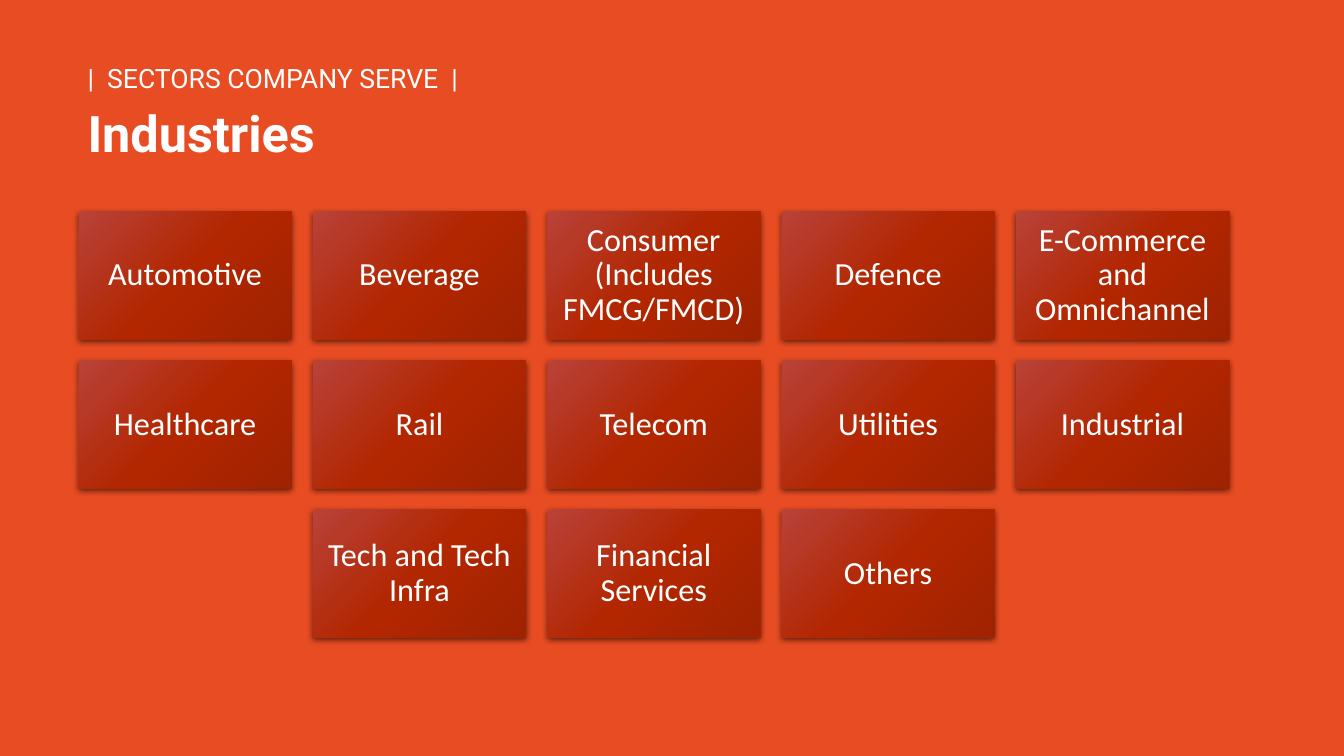
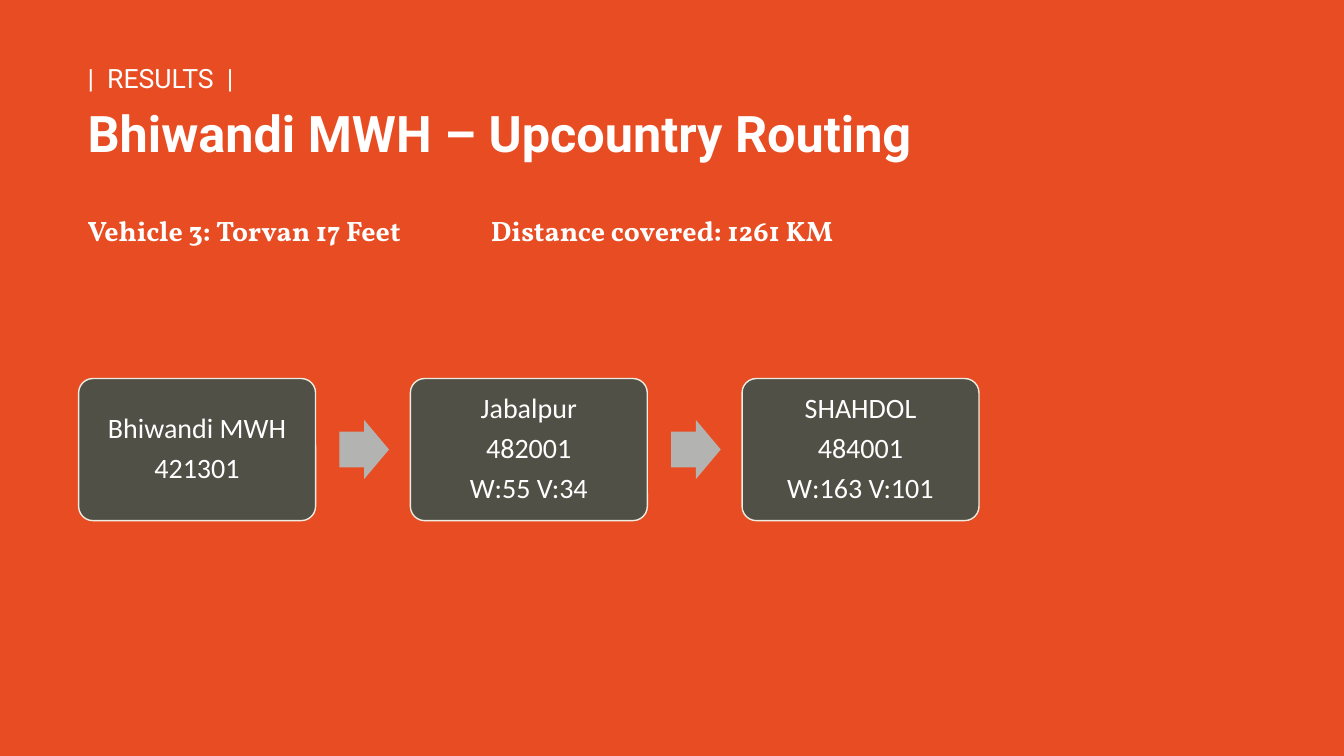
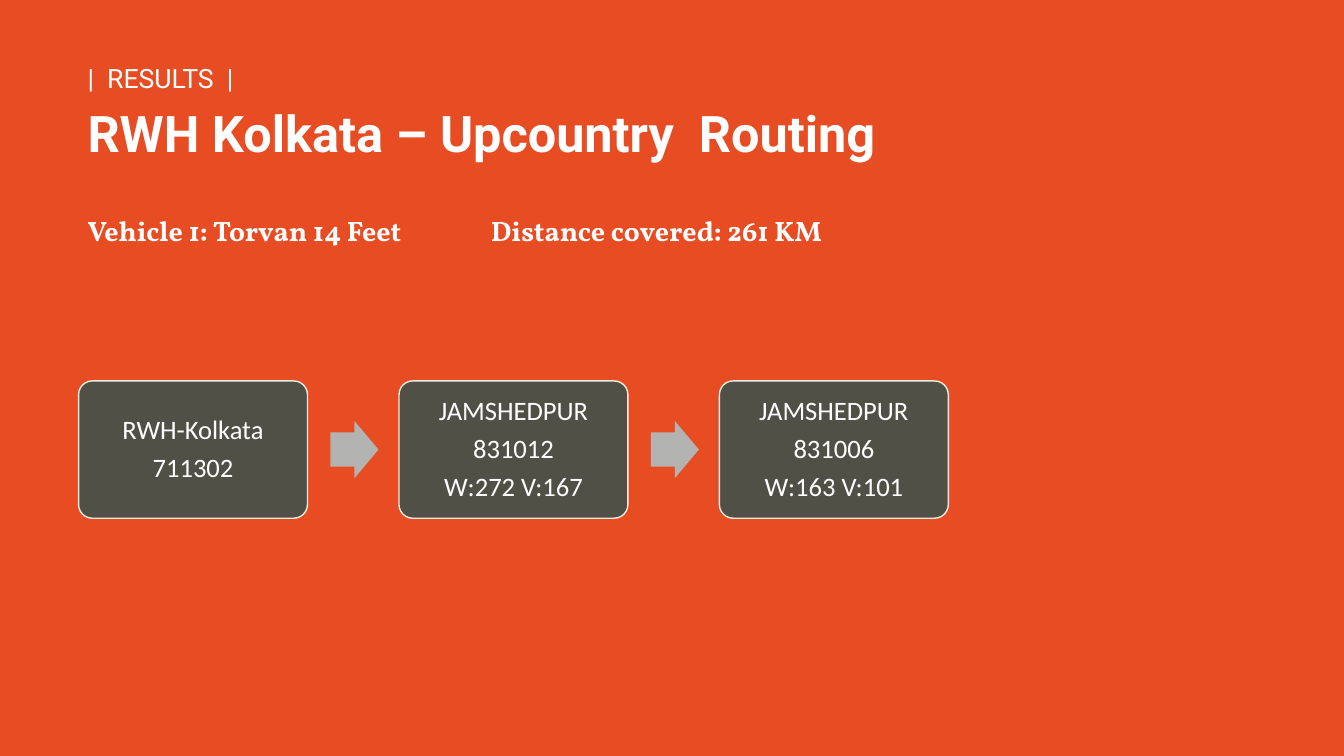
from pptx import Presentation
from pptx.dml.color import RGBColor
from pptx.enum.shapes import MSO_SHAPE
from pptx.enum.text import MSO_ANCHOR, PP_ALIGN
from pptx.oxml import parse_xml
from pptx.oxml.ns import nsdecls
from pptx.util import Inches, Pt

RECTANGLE = MSO_SHAPE.RECTANGLE
ROUNDED = MSO_SHAPE.ROUNDED_RECTANGLE
ARROW = MSO_SHAPE.RIGHT_ARROW
MIDDLE = MSO_ANCHOR.MIDDLE
CENTER = PP_ALIGN.CENTER

COLORS = {
    "background": "E84C22",
    "text": "FFFFFF",
    "tile_light": "B94239",
    "tile_mid": "B22600",
    "tile_dark": "A02200",
    "stop": "505046",
    "stop_outline": "EEECE1",
    "arrow": "B3B3B1",
    "shadow": "000000",
}
HEADING_FONT, DETAIL_FONT, LABEL_FONT = "Roboto", "Vollkorn", "Calibri"

SLIDE_WIDTH, SLIDE_HEIGHT = 13.33, 7.5
TEXT_LEFT, TEXT_WIDTH = 0.77, 11.43
GRID_LEFT, GRID_TOP, GRID_WIDTH = 0.78, 2.1, 11.41
COLUMNS = 5
GAP_SHARE = 0.1
HEIGHT_SHARE = 0.6
ROUTE_MIDDLE = 4.46
ROUTE_STEP_SHARE = 1.4

INDUSTRIES = [
    "Automotive", "Beverage", "Consumer (Includes FMCG/FMCD)", "Defence",
    "E-Commerce and Omnichannel", "Healthcare", "Rail", "Telecom",
    "Utilities", "Industrial", "Tech and Tech Infra", "Financial Services",
    "Others",
]

ROUTES = [
    {
        "title": "Bhiwandi MWH – Upcountry Routing",
        "vehicle": "Vehicle 3: Torvan 17 Feet",
        "distance": "Distance covered: 1261 KM",
        "stop_width": 2.35,
        "size": 20,
        "stops": [
            "Bhiwandi MWH\n421301",
            "Jabalpur\n482001\nW:55 V:34",
            "SHAHDOL\n484001\nW:163 V:101",
        ],
    },
    {
        "title": "RWH Kolkata – Upcountry  Routing",
        "vehicle": "Vehicle 1: Torvan 14 Feet",
        "distance": "Distance covered: 261 KM",
        "stop_width": 2.27,
        "size": 19,
        "stops": [
            "RWH-Kolkata\n711302",
            "JAMSHEDPUR\n831012\nW:272 V:167",
            "JAMSHEDPUR\n831006\nW:163 V:101",
        ],
    },
]


def color(name):
    return RGBColor.from_string(COLORS[name])


def style(paragraph, font, size, bold=False):
    for run in paragraph.runs:
        run.font.name = font
        run.font.size = Pt(size)
        run.font.bold = bold
        run.font.color.rgb = color("text")


def add_text(slide, top, height, text):
    box = slide.shapes.add_textbox(
        Inches(TEXT_LEFT), Inches(top), Inches(TEXT_WIDTH), Inches(height))
    box.text_frame.word_wrap = True
    box.text_frame.text = text
    return box.text_frame.paragraphs


def add_heading(slide, section, title):
    kicker, headline = add_text(slide, 0.61, 1.24, f"|  {section}  |\n{title}")
    kicker.line_spacing = headline.line_spacing = 0.85
    headline.space_before = Pt(13)
    style(kicker, HEADING_FONT, 19)
    style(headline, HEADING_FONT, 36, bold=True)


def add_trip_details(slide, vehicle, distance):
    details = add_text(slide, 2.07, 0.44, f"{vehicle}\t{distance}")[0]
    details._p.get_or_add_pPr().append(parse_xml(
        f'<a:tabLst {nsdecls("a")}><a:tab pos="{Inches(4)}" algn="l"/></a:tabLst>'))
    style(details, DETAIL_FONT, 20, bold=True)


def add_block(slide, preset, left, top, width, height):
    block = slide.shapes.add_shape(
        preset, Inches(left), Inches(top), Inches(width), Inches(height))
    block.shadow.inherit = False
    block.line.fill.background()
    return block


def fill_solid(block, name):
    block.fill.solid()
    block.fill.fore_color.rgb = color(name)


def add_label(block, text, size, inset):
    frame = block.text_frame
    frame.word_wrap = True
    frame.vertical_anchor = MIDDLE
    frame.margin_left = frame.margin_right = Inches(inset)
    frame.margin_top = frame.margin_bottom = Inches(inset)
    frame.text = text
    for line in frame.paragraphs:
        line.alignment = CENTER
        line.line_spacing = 0.9
        line.space_after = Pt(0.35 * size)
        style(line, LABEL_FONT, size)


def add_glow_and_gradient(tile):
    stops = "".join(
        f'<a:gs pos="{position}"><a:srgbClr val="{COLORS[name]}"/></a:gs>'
        for position, name in
        [(0, "tile_light"), (50000, "tile_mid"), (100000, "tile_dark")])
    properties = tile._element.spPr
    properties.prstGeom.addnext(parse_xml(
        f'<a:gradFill {nsdecls("a")} rotWithShape="1"><a:gsLst>{stops}</a:gsLst>'
        '<a:lin ang="2700000" scaled="0"/></a:gradFill>'))
    properties.effectLst.append(parse_xml(
        f'<a:outerShdw {nsdecls("a")} blurRad="{Pt(4.5)}" dist="{Pt(1.5)}" '
        'dir="5400000" algn="ctr" rotWithShape="0">'
        f'<a:srgbClr val="{COLORS["shadow"]}"><a:alpha val="63000"/></a:srgbClr>'
        '</a:outerShdw>'))


def add_industry_grid(slide, industries):
    width = GRID_WIDTH / (COLUMNS + (COLUMNS - 1) * GAP_SHARE)
    height = width * HEIGHT_SHARE
    gap = width * GAP_SHARE
    for index, industry in enumerate(industries):
        row, column = divmod(index, COLUMNS)
        in_row = min(COLUMNS, len(industries) - row * COLUMNS)
        column += (COLUMNS - in_row) / 2
        tile = add_block(slide, RECTANGLE,
                         GRID_LEFT + column * (width + gap),
                         GRID_TOP + row * (height + gap), width, height)
        add_glow_and_gradient(tile)
        add_label(tile, industry, 23, 0.1)


def add_route(slide, stops, width, size):
    height = width * HEIGHT_SHARE
    arrow_width, arrow_height = width * 0.21, width * 0.25
    for index, place in enumerate(stops):
        left = GRID_LEFT + index * width * ROUTE_STEP_SHARE
        stop = add_block(slide, ROUNDED, left, ROUTE_MIDDLE - height / 2,
                         width, height)
        stop.adjustments[0] = 0.1
        fill_solid(stop, "stop")
        stop.line.color.rgb = color("stop_outline")
        stop.line.width = Pt(1)
        add_label(stop, place, size, 0.08)
        if index < len(stops) - 1:
            arrow = add_block(slide, ARROW, left + width * (1 + GAP_SHARE),
                              ROUTE_MIDDLE - arrow_height / 2,
                              arrow_width, arrow_height)
            arrow.adjustments[0] = 0.6
            arrow.adjustments[1] = 0.5
            fill_solid(arrow, "arrow")


def main():
    deck = Presentation()
    deck.slide_width = Inches(SLIDE_WIDTH)
    deck.slide_height = Inches(SLIDE_HEIGHT)
    backdrop = deck.slide_master.background.fill
    backdrop.solid()
    backdrop.fore_color.rgb = color("background")
    blank = deck.slide_layouts[6]

    sectors = deck.slides.add_slide(blank)
    add_heading(sectors, "SECTORS COMPANY SERVE", "Industries")
    add_industry_grid(sectors, INDUSTRIES)

    for route in ROUTES:
        result = deck.slides.add_slide(blank)
        add_heading(result, "RESULTS", route["title"])
        add_trip_details(result, route["vehicle"], route["distance"])
        add_route(result, route["stops"], route["stop_width"], route["size"])

    deck.save("out.pptx")


if __name__ == "__main__":
    main()
